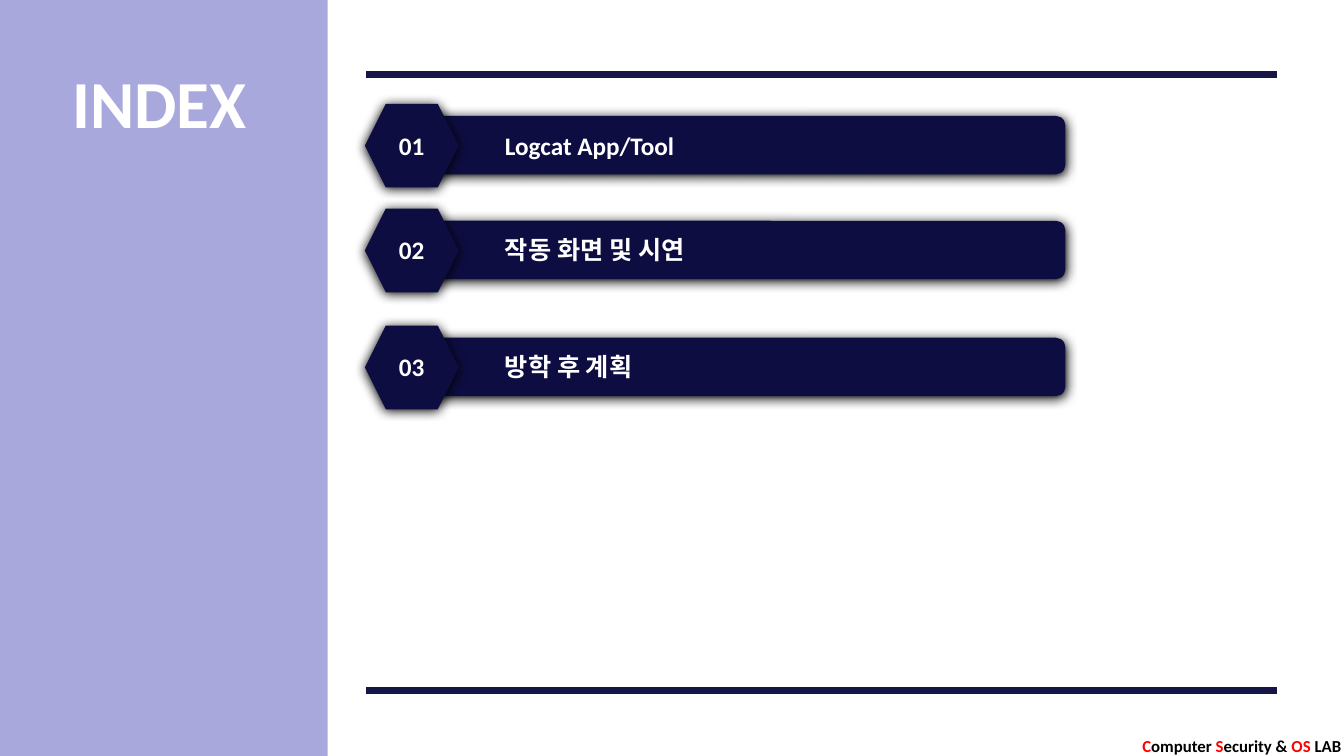
from dataclasses import dataclass
from lxml.etree import SubElement
from pptx import Presentation
from pptx.dml.color import RGBColor
from pptx.enum.shapes import MSO_CONNECTOR, MSO_SHAPE
from pptx.enum.text import PP_ALIGN
from pptx.oxml.ns import qn
from pptx.util import Inches, Pt


@dataclass(frozen=True)
class Theme:
    font: str = "Calibri"
    side: str = "000099"
    navy: str = "0E0D42"
    rule: str = "161548"
    white: str = "FFFFFF"
    black: str = "000000"
    red: str = "FF0000"
    title: int = 48
    item: int = 18
    foot: int = 12


THEME = Theme()
WIDE, HIGH = Inches(13.333), Inches(7.5)


def place(x, y, *size):
    spots = [x, y, *size]
    return [int((HIGH if i % 2 else WIDE) * share / 100) for i, share in enumerate(spots)]


def color(code):
    return RGBColor.from_string(code)


def add_block(slide, kind, area, fill):
    shape = slide.shapes.add_shape(kind, *place(*area))
    shape.shadow.inherit = False
    shape.fill.solid()
    shape.fill.fore_color.rgb = color(fill)
    shape.line.fill.background()
    return shape


def fade(shape, alpha):
    paint = shape._element.spPr.find(".//" + qn("a:srgbClr"))
    SubElement(paint, qn("a:alpha"), val=str(alpha * 1000))


def add_glow(shape):
    effects = shape._element.spPr.find(qn("a:effectLst"))
    shadow = SubElement(effects, qn("a:outerShdw"), blurRad=str(Pt(8.5)), dist=str(Pt(1)),
                        dir="5400000", algn="t", rotWithShape="0")
    SubElement(shadow, qn("a:srgbClr"), val=THEME.black)


def add_rule(slide, row):
    line = slide.shapes.add_connector(MSO_CONNECTOR.STRAIGHT, *place(27.23, row, 95.03, row))
    line.line.color.rgb = color(THEME.rule)
    line.line.width = Pt(4.5)
    SubElement(line._element.spPr, qn("a:effectLst"))


def add_text(slide, area, size, parts):
    box = slide.shapes.add_textbox(*place(*area))
    frame = box.text_frame
    frame.word_wrap = False
    para = frame.paragraphs[0]
    para.font.name = THEME.font
    para.font.size = Pt(size)
    para.font.bold = True
    for words, shade in parts:
        run = para.add_run()
        run.text = words
        run.font.color.rgb = color(shade)
    return frame


def add_item(slide, top, number, label, width):
    bar = add_block(slide, MSO_SHAPE.ROUNDED_RECTANGLE, (30.08, top + 1.6, 49.2, 7.73), THEME.navy)
    badge = add_block(slide, MSO_SHAPE.HEXAGON, (27.15, top, 6.98, 11.07), THEME.navy)
    for shape in (bar, badge):
        add_glow(shape)
    for left, span, words in ((28.95, 3.45, f"{number:02}"), (36.83, width, label)):
        add_text(slide, (left, top + 2.8, span, 5.33), THEME.item, [(words, THEME.white)])


def add_footer(slide):
    parts = [("C", THEME.red), ("omputer ", THEME.black), ("S", THEME.red),
             ("ecurity & ", THEME.black), ("OS ", THEME.red), ("LAB", THEME.black)]
    frame = add_text(slide, (84.23, 96.67, 15.57, 3.33), THEME.foot, parts)
    frame.margin_right = 0
    frame.paragraphs[0].alignment = PP_ALIGN.RIGHT


def main():
    deck = Presentation()
    deck.slide_width, deck.slide_height = WIDE, HIGH
    slide = deck.slides.add_slide(deck.slide_layouts[6])
    side = add_block(slide, MSO_SHAPE.RECTANGLE, (0, 0, 24.38, 100), THEME.side)
    fade(side, 34)
    add_footer(slide)
    add_text(slide, (4.65, 7.47, 14.63, 12.13), THEME.title, [("INDEX", THEME.white)])
    for row in (9.87, 91.33):
        add_rule(slide, row)
    items = [(13.73, "Logcat App/Tool", 14.25),
             (27.6, "작동 화면 및 시연", 16.05),
             (43.07, "방학 후 계획", 11.85)]
    for number, (top, label, width) in enumerate(items, 1):
        add_item(slide, top, number, label, width)
    deck.save("out.pptx")


if __name__ == "__main__":
    main()
